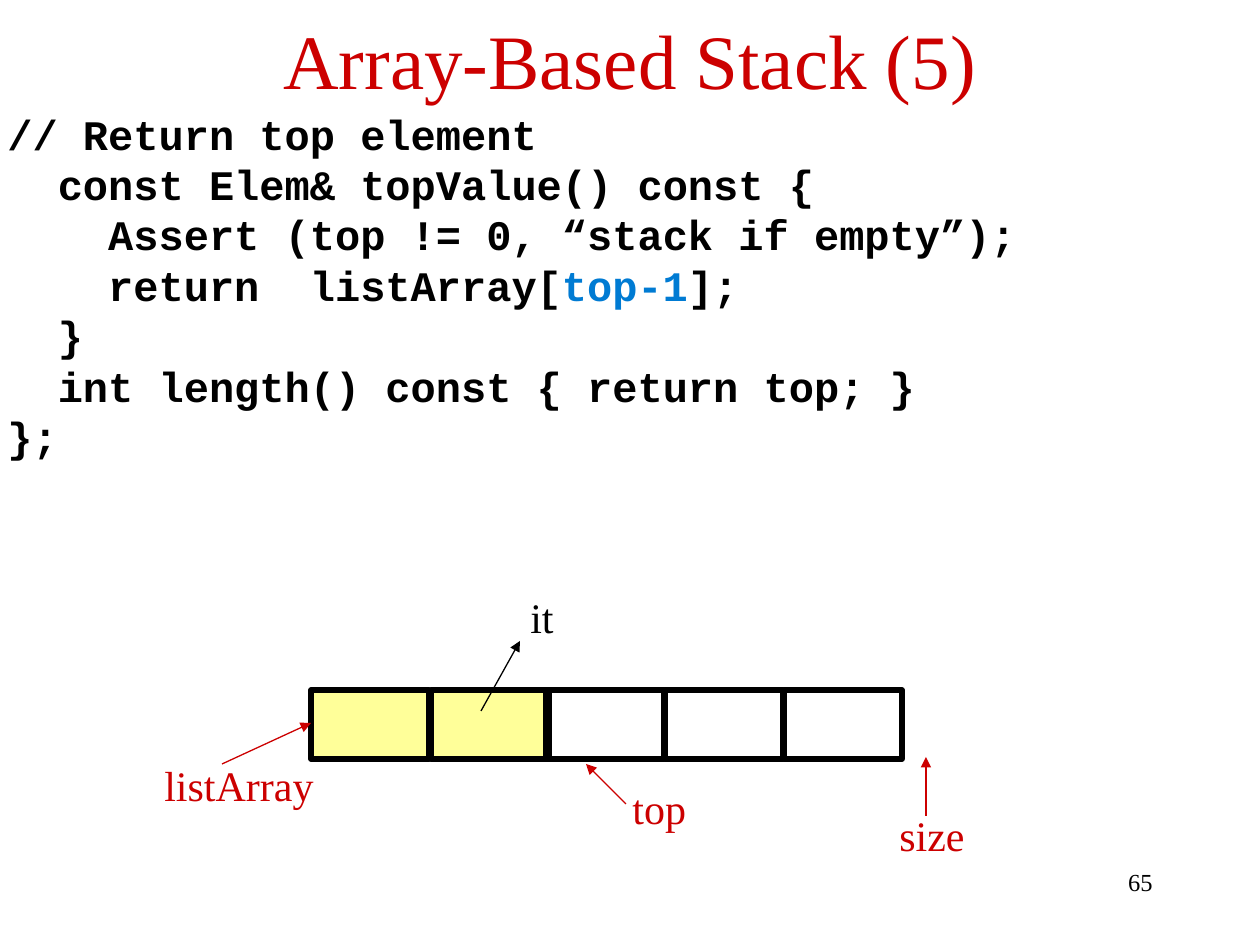
from lxml.etree import SubElement
from pptx import Presentation
from pptx.dml.color import RGBColor
from pptx.enum.shapes import MSO_CONNECTOR, MSO_SHAPE
from pptx.enum.text import MSO_ANCHOR, PP_ALIGN
from pptx.oxml.ns import qn
from pptx.util import Pt

PX = 914400 / 126
RED = RGBColor(0xCC, 0x00, 0x00)
BLACK = RGBColor(0x00, 0x00, 0x00)
BLUE = RGBColor(0x00, 0x7B, 0xD3)
YELLOW = RGBColor(0xFF, 0xFF, 0x99)
SERIF = "Times New Roman"
MONO = "Courier New"
HIGHLIGHT = "top-1"
CODE = """// Return top element
  const Elem& topValue() const {
    Assert (top != 0, “stack if empty”);
    return  listArray[top-1];
  }
  int length() const { return top; }
};"""


def px(*values):
    return [round(v * PX) for v in values]


def set_font(p, name, size, color, bold=False):
    p.font.name = name
    p.font.size = Pt(size)
    p.font.color.rgb = color
    p.font.bold = bold


def add_title(s, text, box):
    sp = s.shapes.title
    sp.left, sp.top, sp.width, sp.height = px(*box)
    tf = sp.text_frame
    tf.text = text
    tf.vertical_anchor = MSO_ANCHOR.MIDDLE
    p = tf.paragraphs[0]
    p.alignment = PP_ALIGN.CENTER
    set_font(p, SERIF, 44, RED)


def add_code(s, code, box):
    tf = s.shapes.add_textbox(*px(*box)).text_frame
    tf.word_wrap = True
    tf.margin_top = px(12)[0]
    for i, line in enumerate(code.split("\n")):
        p = tf.paragraphs[0] if i == 0 else tf.add_paragraph()
        p.line_spacing = Pt(28.8)
        set_font(p, MONO, 24, BLACK, bold=True)
        before, mark, after = line.partition(HIGHLIGHT)
        for text in filter(None, (before, mark, after)):
            r = p.add_run()
            r.text = text
            if text == mark:
                r.font.color.rgb = BLUE


def add_label(s, text, box, color, size=24, align=PP_ALIGN.LEFT, wrap=False):
    tf = s.shapes.add_textbox(*px(*box)).text_frame
    tf.word_wrap = wrap
    tf.text = text
    p = tf.paragraphs[0]
    p.alignment = align
    set_font(p, SERIF, size, color)


def add_cell(s, box, filled):
    sp = s.shapes.add_shape(MSO_SHAPE.RECTANGLE, *px(*box))
    sp.shadow.inherit = False
    if filled:
        sp.fill.solid()
        sp.fill.fore_color.rgb = YELLOW
    else:
        sp.fill.background()
    sp.line.color.rgb = BLACK
    sp.line.width = Pt(3)


def add_arrow(s, points, color):
    sp = s.shapes.add_connector(MSO_CONNECTOR.STRAIGHT, *px(*points))
    sp.line.color.rgb = color
    sp.line.width = Pt(0.75)
    SubElement(sp.line._get_or_add_ln(), qn("a:tailEnd"), type="triangle")
    SubElement(sp._element.spPr, qn("a:effectLst"))


def main():
    prs = Presentation()
    prs.slide_width, prs.slide_height = px(1260, 945)
    s = prs.slides.add_slide(prs.slide_layouts[5])

    add_code(s, CODE, (-5, 96, 1260, 369))
    add_title(s, "Array-Based Stack (5)", (63, -4, 1134, 126))

    for i, left in enumerate((311, 431, 546, 665, 784)):
        add_cell(s, (left, 690, 118, 69), filled=i < 2)

    pointers = [
        ("top", (620, 776, 79, 63), (626, 804, 586, 764), RED),
        ("listArray", (152, 753, 175, 63), (222, 764, 311, 723), RED),
        ("size", (887, 803, 91, 63), (926, 816, 926, 757), RED),
        ("it", (518, 585, 49, 63), (481, 711, 520, 641), BLACK),
    ]
    for text, box, points, color in pointers:
        add_arrow(s, points, color)
        add_label(s, text, box, color)

    add_label(s, "65", (903, 861, 262, 63), BLACK, 14, PP_ALIGN.RIGHT, wrap=True)
    prs.save("out.pptx")


if __name__ == "__main__":
    main()
